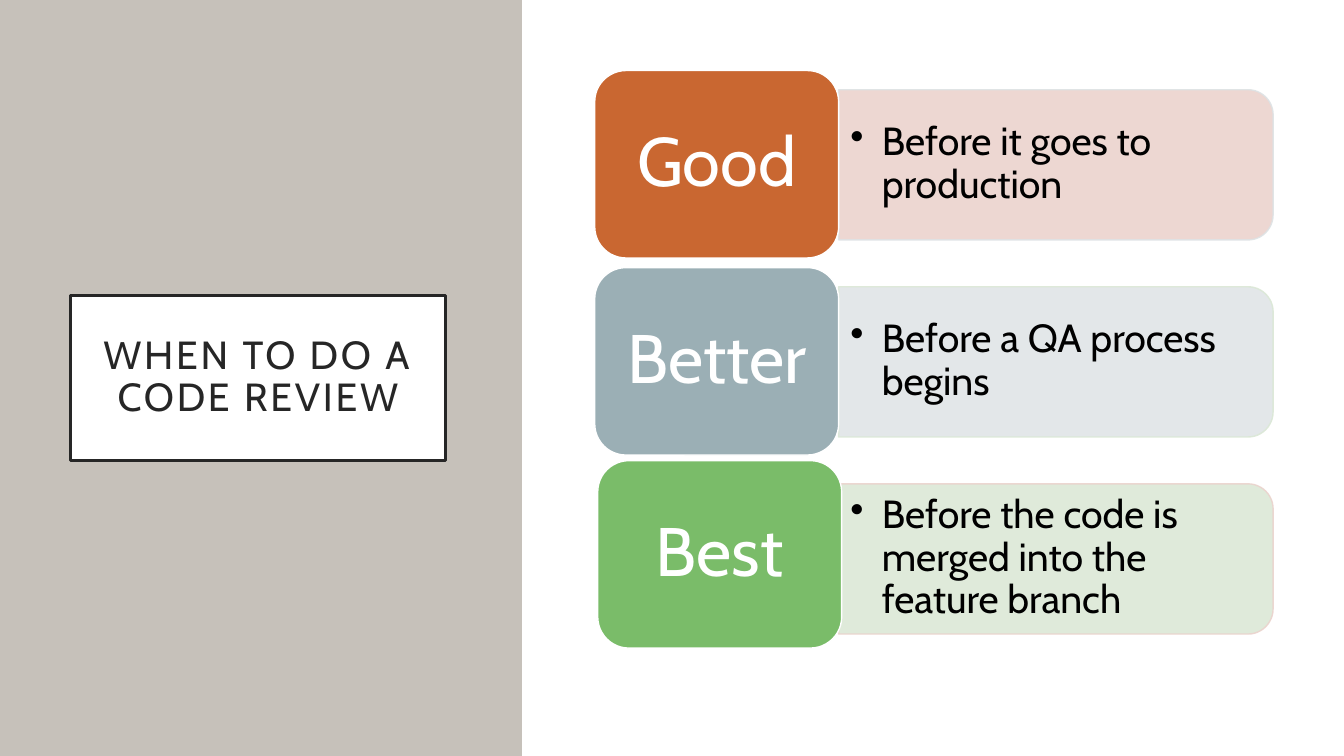
from dataclasses import dataclass
from typing import Any, NamedTuple, Optional

from lxml import etree
from pptx import Presentation
from pptx import util as u
from pptx.dml import color as col
from pptx.enum import shapes as shp, text as txt
from pptx.oxml import ns
from pptx.shapes import autoshape as auto


@dataclass(frozen=True)
class Theme:
    font: str = "Cabin"
    side: str = "C6C1BA"
    paper: str = "FFFFFF"
    ink: str = "262626"
    body: str = "000000"
    title_size: float = 28
    detail_size: float = 28
    badge_size: float = 49
    title_tracking: float = 2
    opacity: int = 90


class Box(NamedTuple):
    left: float
    top: float
    width: float
    height: float

    def moved(self, dx: float, dy: float) -> "Box":
        return Box(self.left + dx, self.top + dy, self.width, self.height)

    def lengths(self) -> list[u.Length]:
        return [u.Pt(v) for v in self]


@dataclass(frozen=True)
class Stage:
    label: str
    detail: str
    badge_fill: str
    panel_fill: str
    panel_line: str
    faded: bool = False
    dx: float = 0
    dy: float = 0


THEME = Theme()
TITLE = Box(50.4, 210.96, 267.84, 118.08)
BADGE = Box(424.8, 50.4, 174.24, 133.92)
PANEL = Box(700.56, -37.44, 107.28, 310.32)
DETAIL = Box(599.04, 69.12, 304.56, 96.48)
PITCH = 140.76
INDENT = 22.5

STAGES = [
    Stage("Good", "Before it goes to production", "C96731", "EDD7D2", "DEE3E5"),
    Stage("Better", "Before a QA process begins", "9BAFB5", "E0E5E7", "DBE8D6", faded=True),
    Stage("Best", "Before the code is merged into the feature branch",
          "7ABC69", "DFEADA", "EBD3CD", dx=2.16, dy=-2.88),
]


def assign(obj: Any, values: dict[str, Any]) -> None:
    for name, value in values.items():
        setattr(obj, name, value)


def rgb(value: str) -> col.RGBColor:
    return col.RGBColor.from_string(value)


def add_block(slide: Any, kind: shp.MSO_SHAPE, box: Box, fill: str,
              line: Optional[str] = None, width: float = 1) -> auto.Shape:
    sp = slide.shapes.add_shape(kind, *box.lengths())
    sp.shadow.inherit = False
    sp.fill.solid()
    sp.fill.fore_color.rgb = rgb(fill)
    if line:
        sp.line.color.rgb = rgb(line)
        sp.line.width = u.Pt(width)
    else:
        sp.line.fill.background()
    return sp


def write(sp: auto.Shape, content: str, size: float, color: str,
          inset: tuple[float, float], align: txt.PP_ALIGN) -> Any:
    x, y = (u.Pt(v) for v in inset)
    tf = sp.text_frame
    assign(tf, {"word_wrap": True, "vertical_anchor": txt.MSO_ANCHOR.MIDDLE,
                "margin_left": x, "margin_right": x, "margin_top": y, "margin_bottom": y})
    p = tf.paragraphs[0]
    assign(p, {"alignment": align, "line_spacing": 0.9})
    r = p.add_run()
    r.text = content
    assign(r.font, {"name": THEME.font, "size": u.Pt(size)})
    r.font.color.rgb = rgb(color)
    return p


def fade(sp: auto.Shape, tag: str) -> None:
    parent = sp.element.spPr.find(ns.qn(tag))
    for clr in parent.iter(ns.qn("a:srgbClr")):
        etree.SubElement(clr, ns.qn("a:alpha")).set("val", str(THEME.opacity * 1000))


def add_bullet(p: Any) -> None:
    pPr = p._p.get_or_add_pPr()
    pPr.set("marL", str(u.Pt(INDENT)))
    pPr.set("indent", str(-u.Pt(INDENT)))
    etree.SubElement(pPr, ns.qn("a:buChar")).set("char", "•")


def add_title(slide: Any) -> None:
    sp = add_block(slide, shp.MSO_SHAPE.RECTANGLE, TITLE, THEME.paper, THEME.ink, 2.5)
    p = write(sp, "WHEN TO DO A CODE REVIEW", THEME.title_size, THEME.ink,
              (14.4, 14.4), txt.PP_ALIGN.CENTER)
    rPr = p.runs[0].font._element
    rPr.set("spc", str(int(THEME.title_tracking * 100)))


def add_stage(slide: Any, stage: Stage, offset: float) -> None:
    panel = add_block(slide, shp.MSO_SHAPE.ROUND_2_SAME_RECTANGLE,
                      PANEL.moved(0, offset), stage.panel_fill, stage.panel_line)
    panel.rotation = 90
    fade(panel, "a:ln")
    if stage.faded:
        fade(panel, "a:solidFill")

    detail = slide.shapes.add_textbox(*DETAIL.moved(0, offset).lengths())
    add_bullet(write(detail, stage.detail, THEME.detail_size, THEME.body,
                     (8.4, 4.2), txt.PP_ALIGN.LEFT))

    badge = add_block(slide, shp.MSO_SHAPE.ROUNDED_RECTANGLE,
                      BADGE.moved(stage.dx, offset + stage.dy), stage.badge_fill, THEME.paper)
    write(badge, stage.label, THEME.badge_size, THEME.paper, (14.4, 7.2), txt.PP_ALIGN.CENTER)


def main() -> None:
    prs = Presentation()
    assign(prs, {"slide_width": u.Pt(960), "slide_height": u.Pt(540)})
    slide = prs.slides.add_slide(prs.slide_layouts[6])
    slide.background.fill.solid()
    slide.background.fill.fore_color.rgb = rgb(THEME.paper)
    add_block(slide, shp.MSO_SHAPE.RECTANGLE, Box(0, 0, 373, 540), THEME.side)
    add_title(slide)
    add_block(slide, shp.MSO_SHAPE.RECTANGLE, Box(373, 0, 587, 540), THEME.paper)
    for i, stage in enumerate(STAGES):
        add_stage(slide, stage, i * PITCH)
    prs.save("out.pptx")


if __name__ == "__main__":
    main()
